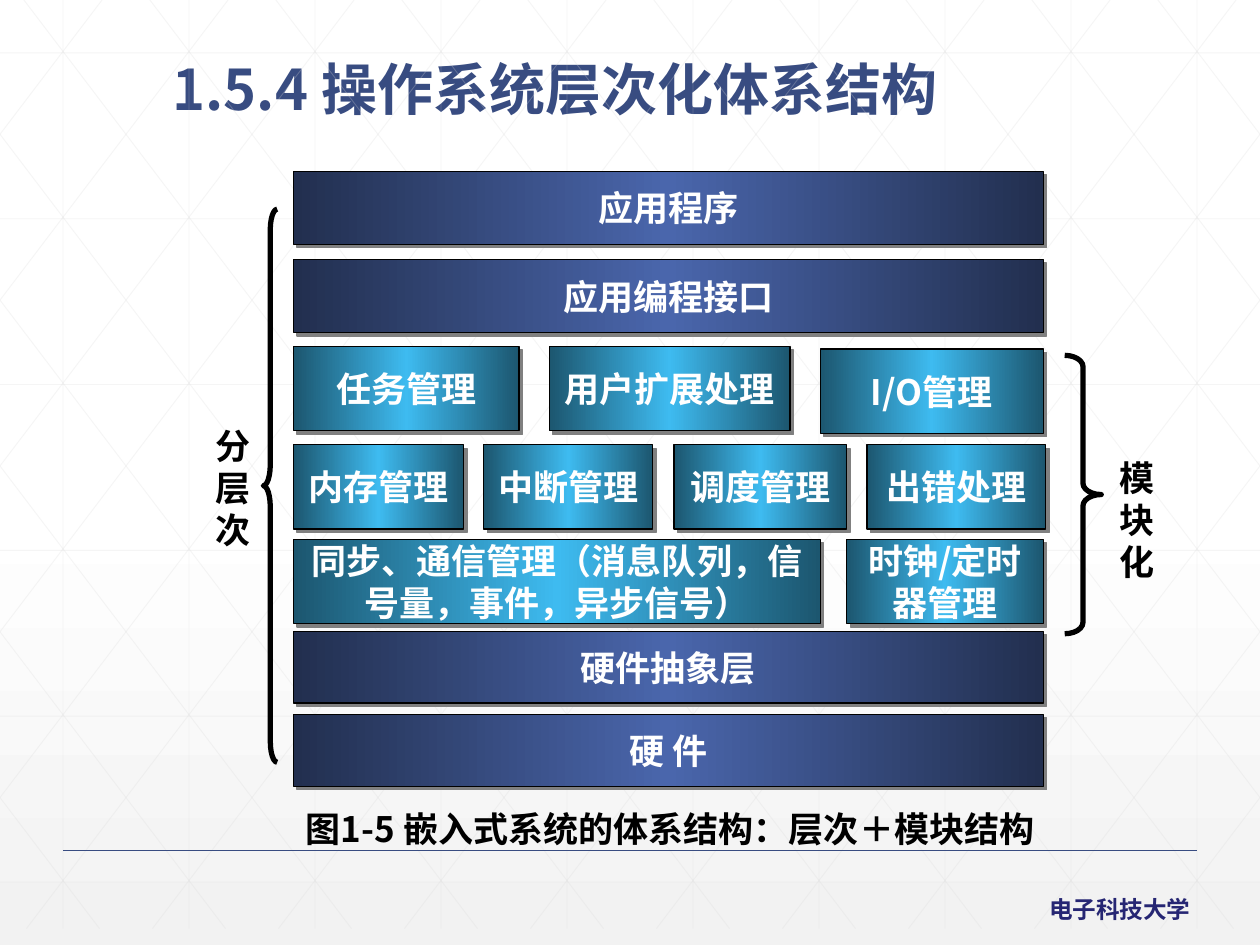
from typing import NamedTuple

from lxml import etree
from pptx import Presentation
from pptx import util as u
from pptx.dml.color import RGBColor
from pptx.enum import shapes, text
from pptx.oxml import ns

FONT = "Noto Sans CJK SC"
NAVY, SKY = "4A66AC", "3EBBF0"
BLACK, WHITE, TITLE_BLUE = "000000", "FFFFFF", "384C81"
GRID_BOTTOM = 7.37
EDGE_SHADE = 46275


class Block(NamedTuple):
    label: str
    left: float
    top: float
    width: float
    height: float = 0.67
    color: str = SKY


class Label(NamedTuple):
    label: str
    left: float
    top: float
    width: float
    height: float
    size: float = 20
    color: str = BLACK
    wrap: bool = True


class Brace(NamedTuple):
    kind: shapes.MSO_SHAPE
    left: float
    top: float
    width: float
    height: float
    curve: float


def layer(label: str, top: float, height: float) -> Block:
    return Block(label, 2.33, top, 5.95, height, NAVY)


BLOCKS = [
    layer("应用程序", 1.36, 0.58),
    layer("应用编程接口", 2.06, 0.58),
    Block("任务管理", 2.33, 2.75, 1.79),
    Block("用户扩展处理", 4.36, 2.75, 1.91),
    Block("I/O管理", 6.51, 2.77, 1.77),
    Block("内存管理", 2.33, 3.53, 1.35),
    Block("中断管理", 3.84, 3.53, 1.34),
    Block("调度管理", 5.35, 3.53, 1.37),
    Block("出错处理", 6.88, 3.53, 1.42),
    Block("同步、通信管理（消息队列，信号量，事件，异步信号）", 2.33, 4.28, 4.18),
    Block("时钟/定时器管理", 6.72, 4.28, 1.56),
    layer("硬件抽象层", 5.01, 0.57),
    layer("硬 件", 5.67, 0.57),
]
LABELS = [
    Label("电子科技大学", 8.23, 7.05, 1.34, 0.33, 13.5, "262673", False),
    Label("图1-5 嵌入式系统的体系结构：层次＋模块结构", 2.33, 6.36, 6.84, 0.44),
    Label("分层次", 1.61, 3.32, 0.44, 1.11),
    Label("模块化", 8.79, 3.57, 0.44, 1.11),
]
BRACES = [
    Brace(shapes.MSO_SHAPE.LEFT_BRACE, 2.09, 1.66, 0.11, 4.39, 1.5),
    Brace(shapes.MSO_SHAPE.RIGHT_BRACE, 8.45, 2.82, 0.29, 2.21, 0.31),
]


def rgb(value: str) -> RGBColor:
    return RGBColor.from_string(value)


def child(parent, tag: str, **attrs):
    return etree.SubElement(parent, ns.qn(tag), {k: str(v) for k, v in attrs.items()})


def box(item) -> list:
    return [u.Inches(v) for v in (item.left, item.top, item.width, item.height)]


def set_gradient(fill, root, stops: list, angle: int) -> None:
    """Fill with (percent, colour, shade) stops; a shade of None leaves the colour pure."""
    fill.gradient()
    grad = root.find(".//" + ns.qn("a:gradFill"))
    for old in list(grad):
        grad.remove(old)
    stop_list = child(grad, "a:gsLst")
    for percent, color, shade in stops:
        stop = child(stop_list, "a:gs", pos=percent * 1000)
        clr = child(stop, "a:srgbClr", val=color)
        if shade:
            child(clr, "a:gamma")
            child(clr, "a:shade", val=shade)
            child(clr, "a:invGamma")
    child(grad, "a:lin", ang=angle * 60000, scaled=1)


def add_text(tf, label: str, size: float, color: str, align, spacing) -> None:
    p = tf.paragraphs[0]
    p.alignment = align
    p.line_spacing = spacing
    r = p.add_run()
    r.text = label
    r.font.size, r.font.bold, r.font.name = u.Pt(size), True, FONT
    r.font.color.rgb = rgb(color)
    child(r.font._element, "a:ea", typeface=FONT)


def add_line(s, x1: float, y1: float, x2: float, y2: float,
             color: str = "D9D9D9", width: float = 0.5, alpha: int = 25) -> None:
    ends = [u.Inches(v) for v in (x1, y1, x2, y2)]
    sp = s.shapes.add_connector(shapes.MSO_CONNECTOR.STRAIGHT, *ends)
    sp.line.color.rgb, sp.line.width = rgb(color), u.Pt(width)
    if alpha < 100:
        clr = sp.element.find(".//" + ns.qn("a:srgbClr"))
        child(clr, "a:alpha", val=alpha * 1000)
    child(sp.element.spPr, "a:effectLst")


def add_grid(s) -> None:
    for i in range(10):
        add_line(s, i + 0.5, 0, i + 0.5, GRID_BOTTOM)
    for i in range(6):
        y = 0.42 + 1.316 * i
        add_line(s, 0, y, 10, y)
    # Diagonals cut off at the slide edges, each with its mirror
    run = 5.6
    slope = GRID_BOTTOM / run
    for i in range(-5, 10):
        x = i + 0.19
        x1, x2 = max(x, 0), min(x + run, 10)
        y1, y2 = (x1 - x) * slope, (x2 - x) * slope
        add_line(s, x1, y1, x2, y2)
        add_line(s, 10 - x1, y1, 10 - x2, y2)


def add_block(s, block: Block) -> None:
    sp = s.shapes.add_shape(shapes.MSO_SHAPE.RECTANGLE, *box(block))
    edge = (block.color, EDGE_SHADE)
    set_gradient(sp.fill, sp.element,
                 [(0, *edge), (50, block.color, None), (100, *edge)], 0)
    sp.line.color.rgb, sp.line.width = rgb(BLACK), u.Pt(0.75)
    sp.shadow.inherit = False
    effects = sp.element.spPr.find(ns.qn("a:effectLst"))
    shadow = child(effects, "a:outerShdw", dist=u.Pt(2.8), dir=45 * 60000,
                   algn="ctr", rotWithShape=0)
    child(shadow, "a:srgbClr", val="808080")
    tf = sp.text_frame
    tf.word_wrap = True
    tf.vertical_anchor = text.MSO_ANCHOR.MIDDLE
    add_text(tf, block.label, 20, WHITE, text.PP_ALIGN.CENTER, u.Pt(24))


def add_label(s, label: Label) -> None:
    tf = s.shapes.add_textbox(*box(label)).text_frame
    tf.word_wrap = label.wrap
    add_text(tf, label.label, label.size, label.color, text.PP_ALIGN.LEFT,
             u.Pt(label.size * 1.2))


def add_brace(s, brace: Brace) -> None:
    sp = s.shapes.add_shape(brace.kind, *box(brace))
    sp.adjustments[0], sp.adjustments[1] = brace.curve, 0.5
    sp.fill.background()
    sp.line.color.rgb, sp.line.width = rgb(BLACK), u.Pt(3)
    sp.shadow.inherit = False


def main() -> None:
    prs = Presentation()
    prs.slide_width, prs.slide_height = u.Inches(10), u.Inches(7.5)
    s = prs.slides.add_slide(prs.slide_layouts[5])

    # Background, grid and footer rule
    set_gradient(s.background.fill, s.element,
                 [(0, WHITE, None), (53, WHITE, None), (100, "F2F2F2", None)], 90)
    add_grid(s)
    add_line(s, 0.5, 6.75, 9.5, 6.75, TITLE_BLUE, 1, 100)

    # Title
    title = s.shapes.title
    title.left, title.top, title.width, title.height = [
        u.Inches(v) for v in (1.27, 0.39, 7.01, 0.68)]
    title.text_frame.vertical_anchor = text.MSO_ANCHOR.MIDDLE
    add_text(title.text_frame, "1.5.4 操作系统层次化体系结构", 32, TITLE_BLUE,
             text.PP_ALIGN.LEFT, 0.9)

    # Architecture diagram
    for block in BLOCKS:
        add_block(s, block)
    for brace in BRACES:
        add_brace(s, brace)
    for label in LABELS:
        add_label(s, label)

    prs.save("out.pptx")


if __name__ == "__main__":
    main()
